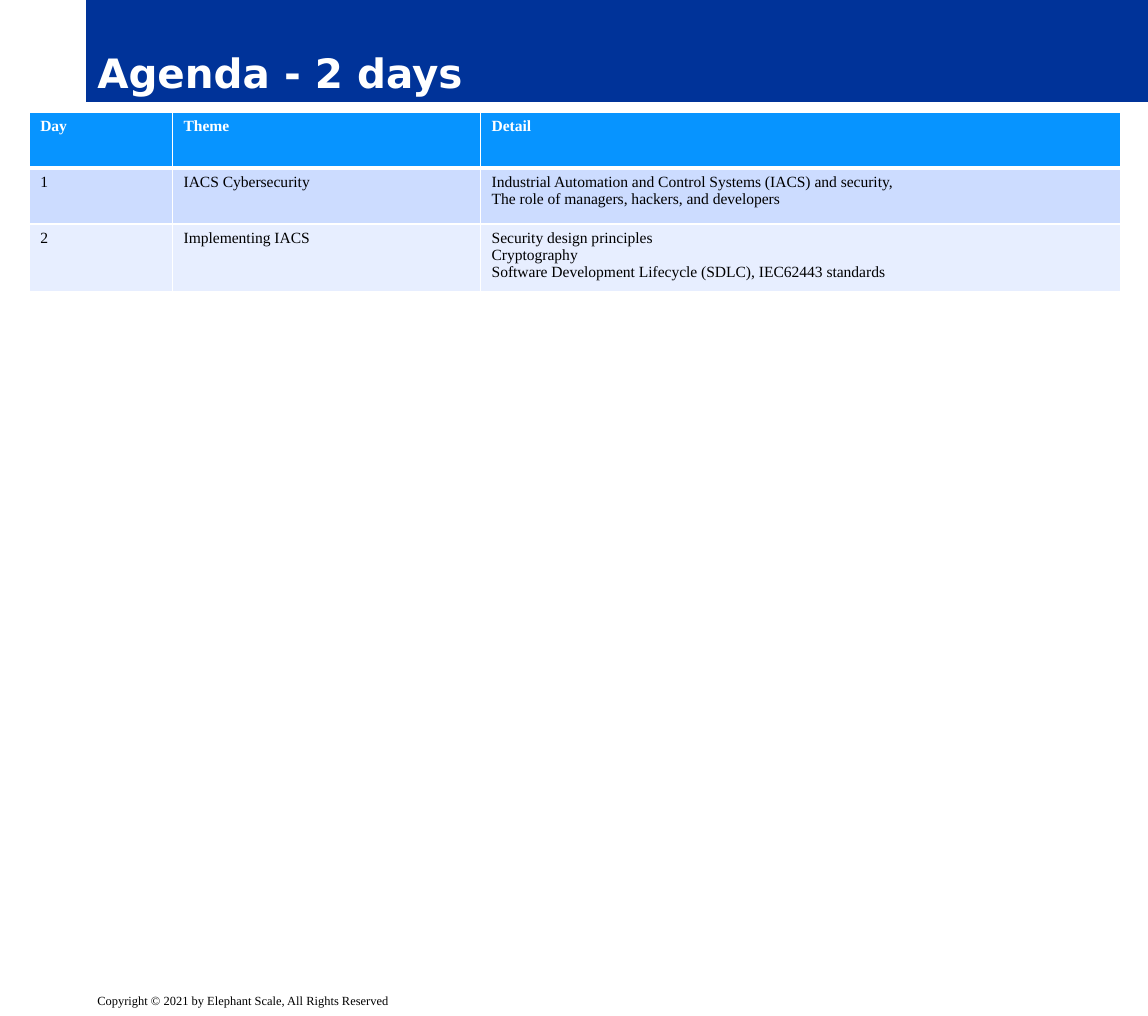
from dataclasses import dataclass

from lxml.etree import SubElement
from pptx import Presentation
from pptx.dml.color import RGBColor as RGB
from pptx.enum.shapes import MSO_SHAPE as Shape
from pptx.enum.text import MSO_ANCHOR as Anchor, PP_ALIGN as Align
from pptx.oxml.ns import qn
from pptx.util import Inches, Pt

TITLE = "Agenda - 2 days"
COPYRIGHT = "Copyright © 2021 by Elephant Scale, All Rights Reserved"
AGENDA = [
    ("Day", "Theme", "Detail"),
    ("1", "IACS Cybersecurity",
     "Industrial Automation and Control Systems (IACS) and security,\n"
     "The role of managers, hackers, and developers"),
    ("2", "Implementing IACS",
     "Security design principles\n"
     "Cryptography\n"
     "Software Development Lifecycle (SDLC), IEC62443 standards"),
]


@dataclass(frozen=True)
class Theme:
    banner: str = "003399"
    header: str = "0794FF"
    bands: tuple = ("CCDCFF", "E7EEFF")
    light: str = "FFFFFF"
    dark: str = "000000"
    title_font: str = "DejaVu Sans"
    body_font: str = "Times New Roman"
    title_size: int = 26
    table_size: int = 10
    copyright_size: int = 8
    rule: int = 1
    header_rule: int = 3


THEME = Theme()
SLIDE_W, SLIDE_H = 10.25, 9.07
MARGIN = 0.77
BANNER_H, COPYRIGHT_H = 0.91, 0.25
TABLE_LEFT, TABLE_TOP = 0.26, 1
COLUMNS = (1.28, 2.75, 5.72)
ROW_H = 0.5


def write(frame, text, font, size, color, bold=False):
    frame.text = text
    for paragraph in frame.paragraphs:
        paragraph.alignment = Align.LEFT
        for run in paragraph.runs:
            run.font.name = font
            run.font.size = Pt(size)
            run.font.bold = bold
            run.font.color.rgb = RGB.from_string(color)


def add_border(cell, side, width):
    line = SubElement(cell._tc.get_or_add_tcPr(), qn(f"a:ln{side}"), w=str(Pt(width)))
    SubElement(SubElement(line, qn("a:solidFill")), qn("a:srgbClr"), val=THEME.light)


def add_banner(slide):
    banner = slide.shapes.add_shape(
        Shape.RECTANGLE, Inches(MARGIN), 0, Inches(SLIDE_W - MARGIN), Inches(BANNER_H))
    banner.shadow.inherit = False
    banner.fill.solid()
    banner.fill.fore_color.rgb = RGB.from_string(THEME.banner)
    banner.line.fill.background()
    banner.text_frame.vertical_anchor = Anchor.BOTTOM
    write(banner.text_frame, TITLE, THEME.title_font, THEME.title_size, THEME.light, True)


def add_copyright(slide):
    footer = slide.shapes.add_textbox(
        Inches(MARGIN), Inches(SLIDE_H - COPYRIGHT_H),
        Inches(SLIDE_W - MARGIN), Inches(COPYRIGHT_H))
    footer.text_frame.word_wrap = True
    write(footer.text_frame, COPYRIGHT, THEME.body_font, THEME.copyright_size, THEME.dark)


def add_agenda(slide):
    agenda = slide.shapes.add_table(
        len(AGENDA), len(COLUMNS), Inches(TABLE_LEFT), Inches(TABLE_TOP),
        Inches(sum(COLUMNS)), Inches(ROW_H * len(AGENDA))).table
    for column, width in zip(agenda.columns, COLUMNS):
        column.width = Inches(width)
    fills = (THEME.header, *THEME.bands)
    for r, (entries, fill) in enumerate(zip(AGENDA, fills)):
        agenda.rows[r].height = Inches(ROW_H)
        is_header = r == 0
        thick_side = {0: "B", 1: "T"}.get(r)
        for c, entry in enumerate(entries):
            cell = agenda.cell(r, c)
            for side in "LRTB":
                add_border(cell, side, THEME.header_rule if side == thick_side else THEME.rule)
            cell.fill.solid()
            cell.fill.fore_color.rgb = RGB.from_string(fill)
            write(cell.text_frame, entry, THEME.body_font, THEME.table_size,
                  THEME.light if is_header else THEME.dark, is_header)


def main():
    deck = Presentation()
    deck.slide_width, deck.slide_height = Inches(SLIDE_W), Inches(SLIDE_H)
    slide = deck.slides.add_slide(deck.slide_layouts[6])
    add_banner(slide)
    add_copyright(slide)
    add_agenda(slide)
    deck.save("out.pptx")


if __name__ == "__main__":
    main()
